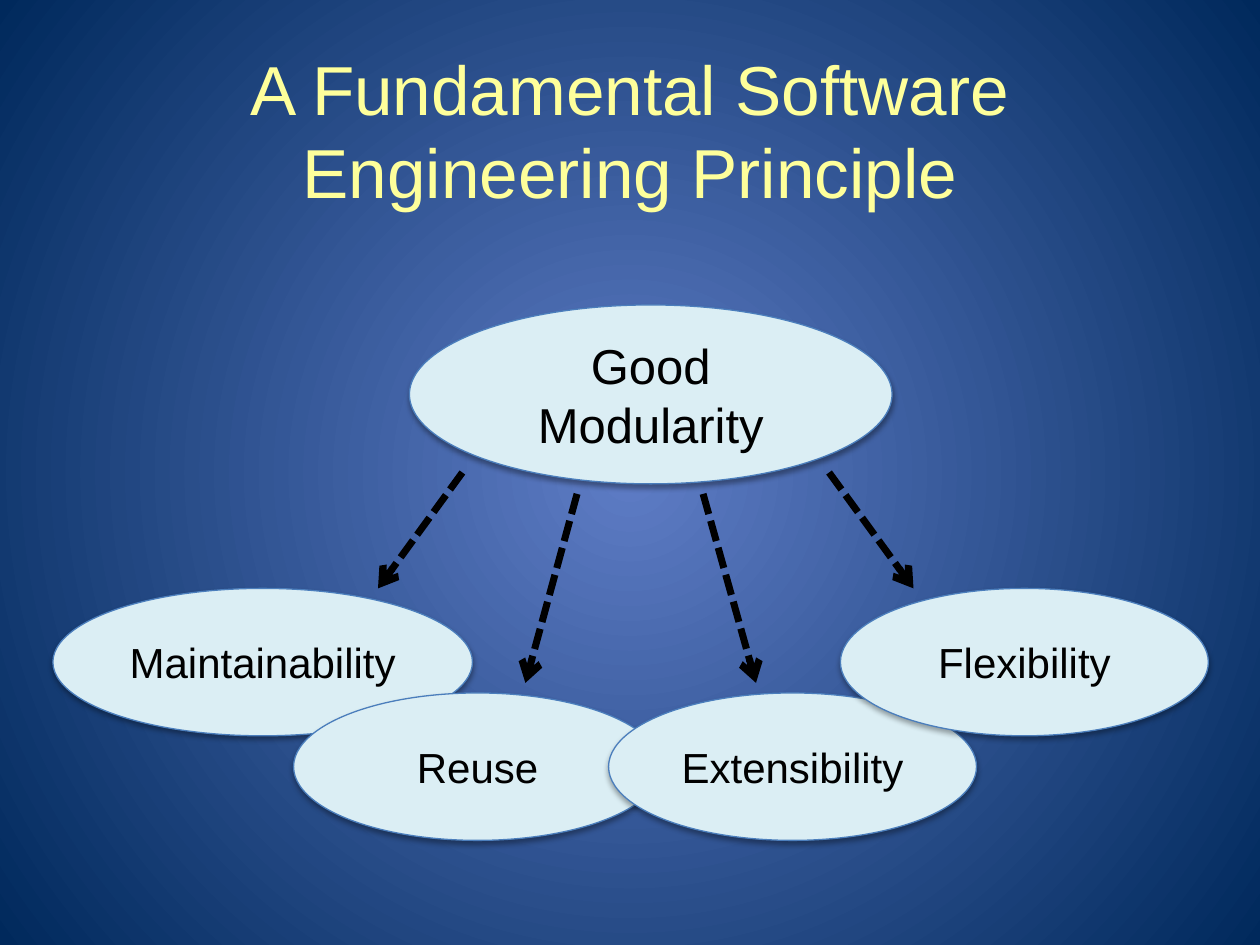
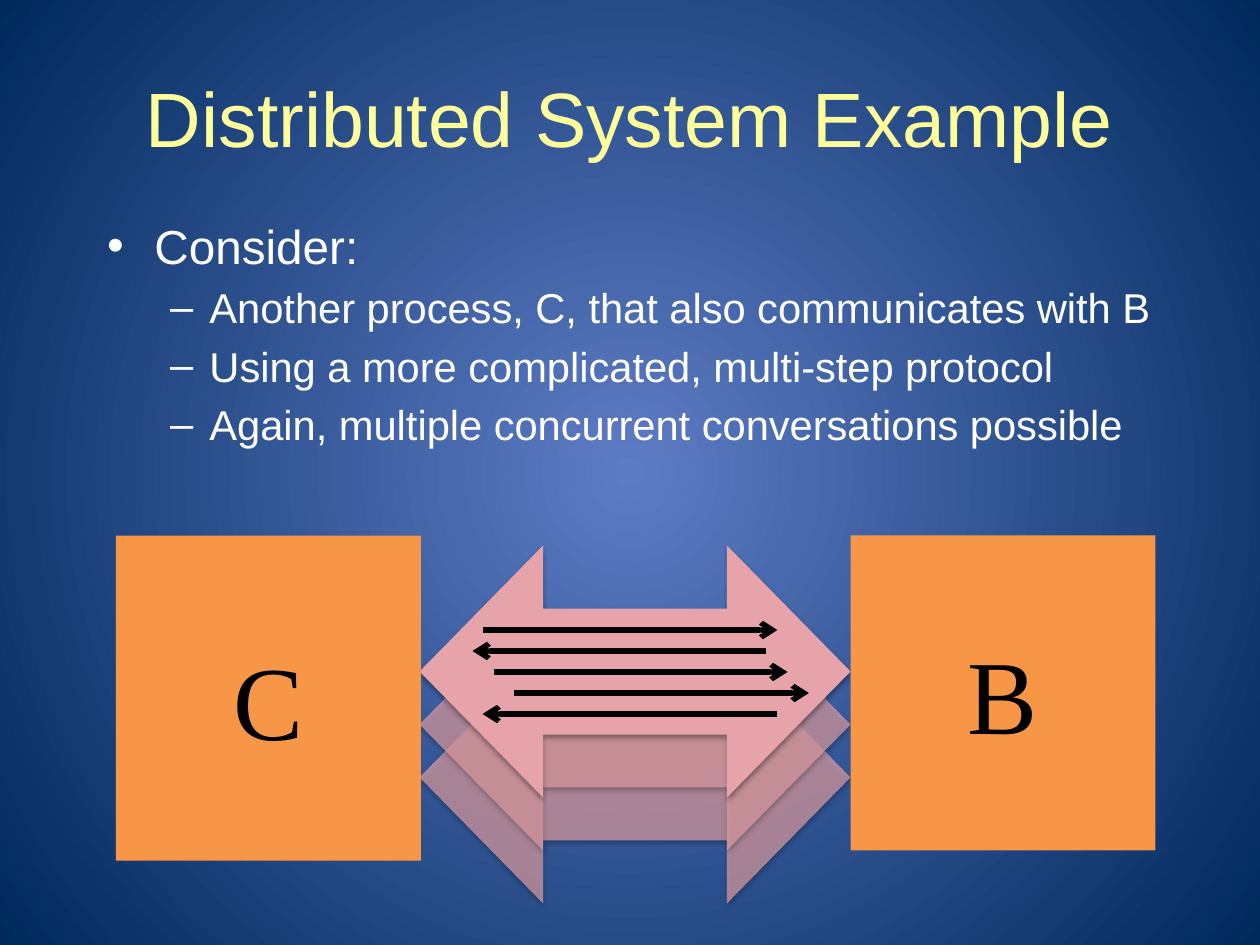
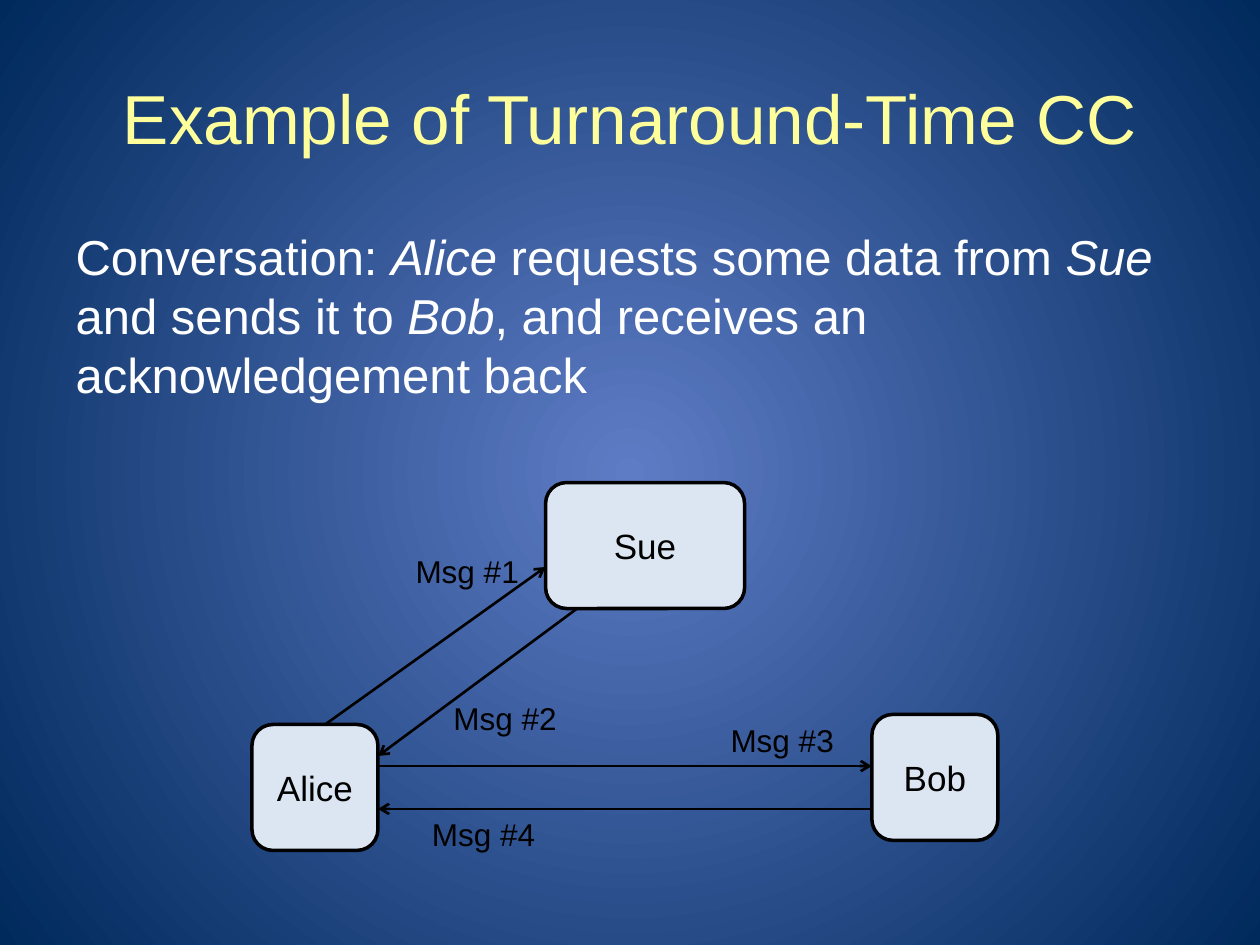
from dataclasses import dataclass

from lxml.etree import SubElement
from pptx import Presentation
from pptx.dml.color import RGBColor
from pptx.enum.dml import MSO_LINE
from pptx.enum.shapes import MSO_CONNECTOR, MSO_SHAPE
from pptx.enum.text import MSO_ANCHOR, MSO_AUTO_SIZE, PP_ALIGN
from pptx.oxml.ns import qn
from pptx.util import Inches, Pt


@dataclass(frozen=True)
class Theme:
    # Colours
    glow: str = "5E7CC5"
    navy: str = "00295C"
    gold: str = "FEFF9B"
    white: str = "FFFFFF"
    black: str = "000000"
    ice: str = "DBEEF4"
    rim: str = "4B7EBC"
    pink: str = "E6A3A9"
    orange: str = "F79646"
    pale: str = "DCE6F2"
    # Fonts and type sizes
    sans: str = "Arial"
    serif: str = "Times New Roman"
    head: float = 44
    small_head: float = 39.6
    lead: float = 28
    item: float = 27.2
    sub_item: float = 23.8
    leaf: float = 24
    node: float = 20
    note: float = 18
    letter: float = 60


def rgb(code):
    return RGBColor.from_string(code)


def place(shape, box):
    shape.left, shape.top, shape.width, shape.height = map(Inches, box)


class Deck:
    def __init__(self, theme):
        self.theme = theme
        self.prs = Presentation()
        self.prs.slide_width, self.prs.slide_height = Inches(10), Inches(7.5)
        self.slide = None
        self.backdrop()

    def backdrop(self):
        """Give the master a round gradient from the centre outwards."""
        master = self.prs.slide_master
        fill = master.background.fill
        fill.gradient()
        for stop, code, spot in zip(fill.gradient_stops, (self.theme.glow, self.theme.navy), (0, 1)):
            stop.color.rgb = rgb(code)
            stop.position = spot
        grad = master.element.find(f".//{qn('p:bg')}//{qn('a:gradFill')}")
        grad.remove(grad.find(qn("a:lin")))
        way = SubElement(grad, qn("a:path"), path="circle")
        SubElement(way, qn("a:fillToRect"), l="50000", t="50000", r="50000", b="50000")

    def style(self, para, size, color, font=None):
        for run in para.runs:
            run.font.size = Pt(size)
            run.font.name = font or self.theme.sans
            run.font.color.rgb = rgb(color)

    def page(self, title, size, height=1.25, body=False):
        self.slide = self.prs.slides.add_slide(self.prs.slide_layouts[1 if body else 5])
        head = self.slide.shapes.title
        place(head, (0.5, 0.3, 9, height))
        head.text_frame.text = title
        head.text_frame.auto_size = MSO_AUTO_SIZE.NONE
        self.style(head.text_frame.paragraphs[0], size, self.theme.gold)

    def body(self, box):
        holder = self.slide.placeholders[1]
        place(holder, box)
        holder.text_frame.auto_size = MSO_AUTO_SIZE.NONE
        return holder.text_frame

    def bullets(self, box, lines):
        frame = self.body(box)
        frame.text = "\n".join(text for _, text in lines)
        sizes = (self.theme.item, self.theme.sub_item)
        for para, (level, _) in zip(frame.paragraphs, lines):
            para.level = level
            self.style(para, sizes[level], self.theme.white)

    def prose(self, box, parts):
        """Write one unbulleted paragraph; every second part is italic."""
        para = self.body(box).paragraphs[0]
        props = para._p.get_or_add_pPr()
        props.set("marL", "0")
        props.set("indent", "0")
        SubElement(props, qn("a:buNone"))
        for count, text in enumerate(parts):
            run = para.add_run()
            run.text = text
            run.font.italic = count % 2 == 1
        self.style(para, self.theme.lead, self.theme.white)

    def shape(self, kind, box, fill, edge=None, width=1, shade=False, alpha=None):
        shape = self.slide.shapes.add_shape(kind, *map(Inches, box))
        shape.shadow.inherit = False
        shape.fill.solid()
        shape.fill.fore_color.rgb = rgb(fill)
        if edge:
            shape.line.color.rgb = rgb(edge)
            shape.line.width = Pt(width)
        else:
            shape.line.fill.background()
        props = shape.element.spPr
        if alpha:
            tint = props.find(f"{qn('a:solidFill')}/{qn('a:srgbClr')}")
            SubElement(tint, qn("a:alpha"), val=str(alpha * 1000))
        if shade:
            cast = SubElement(props.find(qn("a:effectLst")), qn("a:outerShdw"),
                              blurRad=str(Pt(3.1)), dist=str(Pt(1.8)),
                              dir="5400000", rotWithShape="0")
            tint = SubElement(cast, qn("a:srgbClr"), val=self.theme.black)
            SubElement(tint, qn("a:alpha"), val="35000")
        return shape

    def label(self, shape, text, size, font=None):
        frame = shape.text_frame
        frame.text = text
        frame.word_wrap = True
        frame.vertical_anchor = MSO_ANCHOR.MIDDLE
        para = frame.paragraphs[0]
        para.alignment = PP_ALIGN.CENTER
        self.style(para, size, self.theme.black, font)

    def oval(self, box, text, size):
        shape = self.shape(MSO_SHAPE.OVAL, box, self.theme.ice, self.theme.rim, 0.75, shade=True)
        self.label(shape, text, size)

    def block(self, box, text):
        shape = self.shape(MSO_SHAPE.RECTANGLE, box, self.theme.orange)
        self.label(shape, text, self.theme.letter, self.theme.serif)

    def node(self, box, text):
        shape = self.shape(MSO_SHAPE.ROUNDED_RECTANGLE, box, self.theme.pale, self.theme.black, 2)
        self.label(shape, text, self.theme.node)

    def channel(self, box, alpha=None):
        shape = self.shape(MSO_SHAPE.LEFT_RIGHT_ARROW, box, self.theme.pink, shade=True, alpha=alpha)
        shape.adjustments[0], shape.adjustments[1] = 0.5, 0.49

    def note(self, left, top, text):
        frame = self.slide.shapes.add_textbox(*map(Inches, (left, top, 1.03, 0.4))).text_frame
        frame.text = text
        frame.word_wrap = False
        frame.auto_size = MSO_AUTO_SIZE.SHAPE_TO_FIT_TEXT
        self.style(frame.paragraphs[0], self.theme.note, self.theme.black)

    def arrow(self, start, end, width, dash=None):
        line = self.slide.shapes.add_connector(MSO_CONNECTOR.STRAIGHT, *map(Inches, start + end))
        line.line.color.rgb = rgb(self.theme.black)
        line.line.width = Pt(width)
        if dash:
            line.line.dash_style = dash
        props = line.element.spPr
        SubElement(props.find(qn("a:ln")), qn("a:tailEnd"), type="arrow")
        SubElement(props, qn("a:effectLst"))


def modular(deck):
    theme = deck.theme
    deck.page("A Fundamental Software Engineering Principle", theme.small_head, 1.45)
    deck.oval((3.25, 2.42, 3.83, 1.42), "Good Modularity", theme.lead)

    # Benefits, each with the arrow that leads to it
    high, low = 4.67, 5.5
    gains = [
        ("Maintainability", 0.42, high, 3.33, (3.67, 3.75), (3, 4.67)),
        ("Reuse", 2.33, low, 2.92, (4.58, 3.92), (4.17, 5.42)),
        ("Extensibility", 4.83, low, 2.92, (5.58, 3.92), (6, 5.42)),
        ("Flexibility", 6.67, high, 2.92, (6.58, 3.75), (7.25, 4.67)),
    ]
    for text, left, top, width, start, end in gains:
        deck.oval((left, top, width, 1.17), text, theme.leaf)
        deck.arrow(start, end, 4, MSO_LINE.SQUARE_DOT)


def system(deck):
    deck.page("Distributed System Example", deck.theme.head, body=True)
    deck.bullets((0.75, 1.67, 8.67, 2.25), [
        (0, "Consider:"),
        (1, "Another process, C, that also communicates with B"),
        (1, "Using a more complicated, multi-step protocol"),
        (1, "Again, multiple concurrent conversations possible"),
    ])

    # Stacked conversations between the two processes
    for top, alpha in ((5.17, 68), (4.75, 67), (4.33, None)):
        deck.channel((3.33, top, 3.42, 2), alpha)
    deck.block((0.92, 4.25, 2.42, 2.58), "C")
    deck.block((6.75, 4.25, 2.42, 2.5), "B")

    # Protocol steps, evenly spaced
    steps = [(3.83, 6.17), (6.08, 3.75), (3.92, 6.25), (4.08, 6.42), (6.17, 3.83)]
    for count, (start, end) in enumerate(steps):
        top = 5 + count / 6
        deck.arrow((start, top), (end, top), 3)


def timing(deck):
    deck.page("Example of Turnaround-Time CC", deck.theme.small_head, body=True)
    deck.prose((0.5, 1.75, 9, 1.67), [
        "Conversation: ", "Alice", " requests some data from ", "Sue",
        " and sends it to ", "Bob", ", and receives an acknowledgement back",
    ])

    # People
    deck.node((2, 5.75, 1, 1), "Alice")
    deck.node((6.92, 5.67, 1, 1), "Bob")
    deck.node((4.33, 3.83, 1.58, 1), "Sue")

    # Messages in order, with the place of each label
    mail = [
        ((2.58, 5.75), (4.33, 4.5), (3.2, 4.33)),
        ((4.58, 4.83), (3, 6), (3.5, 5.5)),
        ((3, 6.08), (6.92, 6.08), (5.7, 5.67)),
        ((6.92, 6.42), (3, 6.42), (3.33, 6.42)),
    ]
    for count, (start, end, spot) in enumerate(mail, 1):
        deck.arrow(start, end, 1.5)
        deck.note(*spot, f"Msg #{count}")


def main():
    deck = Deck(Theme())
    for build in (modular, system, timing):
        build(deck)
    deck.prs.save("out.pptx")


if __name__ == "__main__":
    main()
